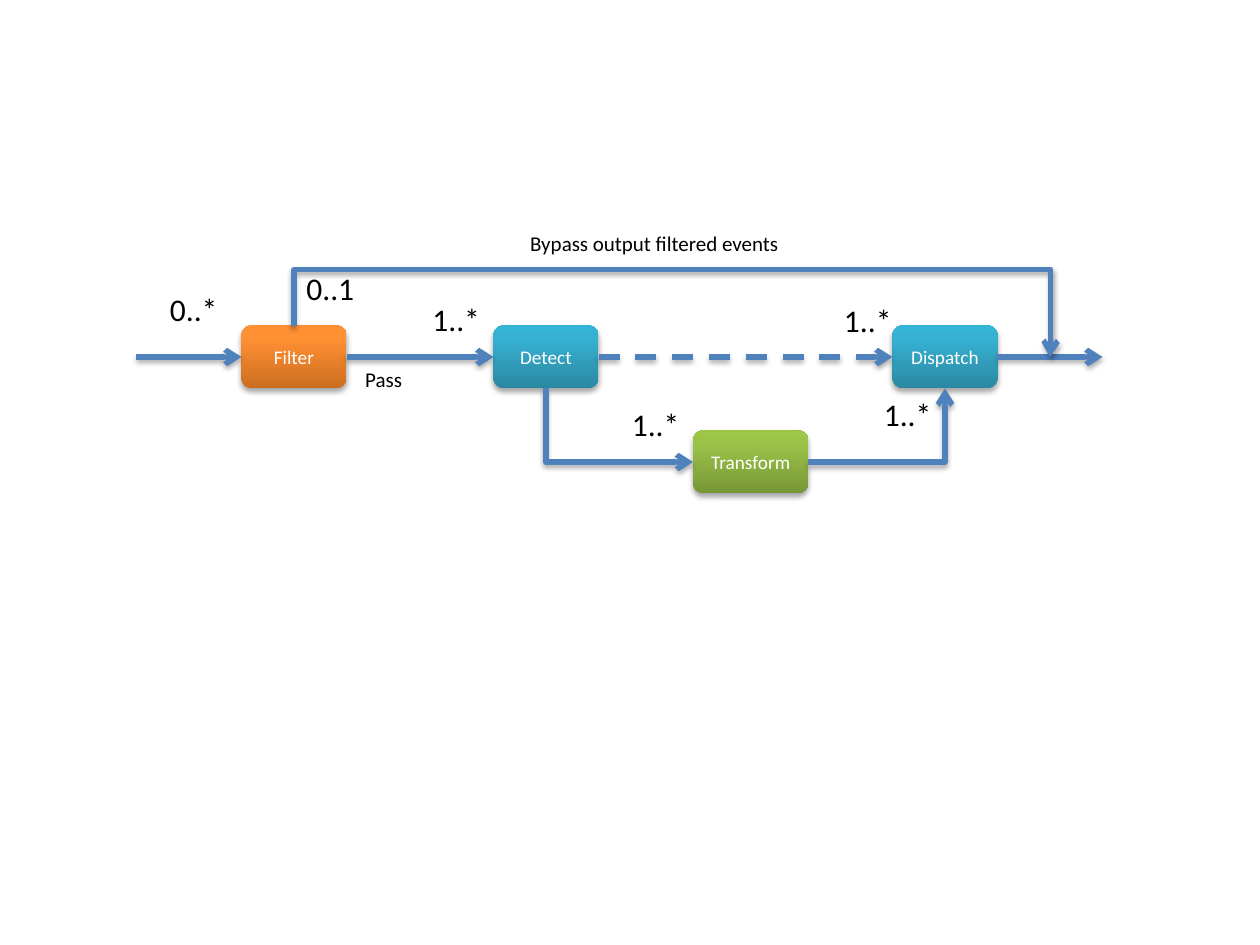
from lxml import etree
from pptx import Presentation
from pptx import util as u
from pptx.dml.color import RGBColor
from pptx.enum import dml, shapes, text
from pptx.oxml import parse_xml
from pptx.oxml.ns import nsdecls, qn

COLS, ROWS = 120, 90  # twelve grid units to the inch
COLORS = {"line": "4F81BD", "text": "000000", "box_text": "FFFFFF", "shadow": "000000"}
GRADIENTS = {  # bottom, near the top, top
    "orange": ("CC6E20", "FF9034", "FF9136"),
    "blue": ("2A88A2", "37B1D2", "34B4D6"),
    "green": ("779737", "9BC348", "9DC746"),
}
TOP, LEFT, BOTTOM, RIGHT = range(4)


class Diagram:
    font = "Calibri"

    def __init__(self, prs):
        self.unit = prs.slide_width / COLS
        self.slide = prs.slides.add_slide(prs.slide_layouts[6])

    def grid(self, *values):
        return [u.Emu(round(v * self.unit)) for v in values]

    def shadow(self, sp):
        sp._element.spPr.append(parse_xml(
            f'<a:effectLst {nsdecls("a")}><a:outerShdw blurRad="40000" dist="23000" '
            f'dir="5400000" rotWithShape="0"><a:srgbClr val="{COLORS["shadow"]}">'
            '<a:alpha val="35000"/></a:srgbClr></a:outerShdw></a:effectLst>'))

    def add_text(self, tf, words, size, color):
        p = tf.paragraphs[0]
        r = p.add_run()
        r.text = words
        r.font.name, r.font.size = self.font, u.Pt(size)
        r.font.color.rgb = RGBColor.from_string(COLORS[color])
        return p

    def box(self, words, col, row, gradient, width=10, height=6):
        sp = self.slide.shapes.add_shape(
            shapes.MSO_SHAPE.FLOWCHART_ALTERNATE_PROCESS, *self.grid(col, row, width, height))
        stops = "".join(f'<a:gs pos="{pos}"><a:srgbClr val="{c}"/></a:gs>'
                        for pos, c in zip((0, 80000, 100000), GRADIENTS[gradient]))
        sp._element.spPr.find(qn("a:prstGeom")).addnext(parse_xml(
            f'<a:gradFill {nsdecls("a")} rotWithShape="1"><a:gsLst>{stops}</a:gsLst>'
            '<a:lin ang="16200000" scaled="0"/></a:gradFill>'))
        sp.line.fill.background()
        self.shadow(sp)
        sp.text_frame.vertical_anchor = text.MSO_ANCHOR.MIDDLE
        p = self.add_text(sp.text_frame, words, 11, "box_text")
        p.alignment = text.PP_ALIGN.CENTER
        return sp

    def label(self, words, col, row, width=7, height=4.8, size=18):
        tf = self.slide.shapes.add_textbox(*self.grid(col, row, width, height)).text_frame
        tf.word_wrap = False
        tf.auto_size = text.MSO_AUTO_SIZE.SHAPE_TO_FIT_TEXT
        self.add_text(tf, words, size, "text")

    def arrow(self, start, end, begin=None, finish=None, dash=False,
              kind=shapes.MSO_CONNECTOR.STRAIGHT):
        sp = self.slide.shapes.add_connector(kind, *self.grid(*start, *end))
        if begin:
            sp.begin_connect(*begin)
        if finish:
            sp.end_connect(*finish)
        sp.line.color.rgb = RGBColor.from_string(COLORS["line"])
        sp.line.width = u.Pt(3)
        if dash:
            sp.line.dash_style = dml.MSO_LINE.DASH
        ln = sp._element.spPr.find(qn("a:ln"))
        etree.SubElement(ln, qn("a:tailEnd"), type="arrow")
        self.shadow(sp)
        return sp

    def bent_arrow(self, start, end, preset, begin=None, finish=None,
                   upright=False, adjust=()):
        """Elbow arrow; an upright one leaves its start vertically."""
        sp = self.arrow(start, end, begin, finish, kind=shapes.MSO_CONNECTOR.ELBOW)
        (x1, y1), (x2, y2) = start, end
        w, h = abs(x2 - x1), abs(y2 - y1)
        if upright:
            w, h = h, w
        sp.left, sp.top, sp.width, sp.height = self.grid(
            (x1 + x2 - w) / 2, (y1 + y2 - h) / 2, w, h)
        xfrm = sp._element.spPr.find(qn("a:xfrm"))
        for name in ("flipH", "flipV"):
            xfrm.attrib.pop(name, None)
        if upright:
            xfrm.set("rot", "16200000")
        xfrm.set("flipH" if upright else "flipV", "1")
        geom = sp._element.spPr.find(qn("a:prstGeom"))
        geom.set("prst", preset)
        for i, value in enumerate(adjust, 1):
            etree.SubElement(geom.find(qn("a:avLst")), qn("a:gd"),
                             name=f"adj{i}", fmla=f"val {value}")


def main():
    prs = Presentation()
    prs.slide_width, prs.slide_height = u.Inches(10), u.Inches(7.5)
    d = Diagram(prs)
    axis = 34  # row of the main flow

    # Processing steps
    filter_box = d.box("Filter", 23, axis - 3, "orange")
    detect = d.box("Detect", 47, axis - 3, "blue")
    transform = d.box("Transform", 66, axis + 7, "green", width=11)
    dispatch = d.box("Dispatch", 85, axis - 3, "blue")

    # Main flow
    d.arrow((13, axis), (23, axis), finish=(filter_box, LEFT))
    d.arrow((33, axis), (47, axis), (filter_box, RIGHT), (detect, LEFT))
    d.arrow((57, axis), (85, axis), (detect, RIGHT), (dispatch, LEFT), dash=True)
    d.arrow((95, axis), (105, axis), (dispatch, RIGHT))

    # Detour through the transform step, and the bypass
    d.bent_arrow((52, axis + 3), (66, axis + 10), "bentConnector2",
                 (detect, BOTTOM), (transform, LEFT), upright=True)
    d.bent_arrow((77, axis + 10), (90, axis + 3), "bentConnector2",
                 (transform, RIGHT), (dispatch, BOTTOM))
    d.bent_arrow((28, axis - 3), (100, axis), "bentConnector4",
                 (filter_box, TOP), upright=True, adjust=(-177700, 100100))

    # Multiplicities
    for words, col, row in (("0..*", 15, 27), ("1..*", 40, 28), ("1..*", 59, 38),
                            ("1..*", 79.2, 28.1), ("1..*", 83, 37), ("0..1", 28, 25)):
        d.label(words, col, row)

    # Flow names
    d.label("Bypass output filtered events", 49.3, 21.4, 26.3, 3.6, size=12)
    d.label("Pass", 33.6, 34.3, 6, 3.6, size=12)

    prs.save("out.pptx")


if __name__ == "__main__":
    main()
